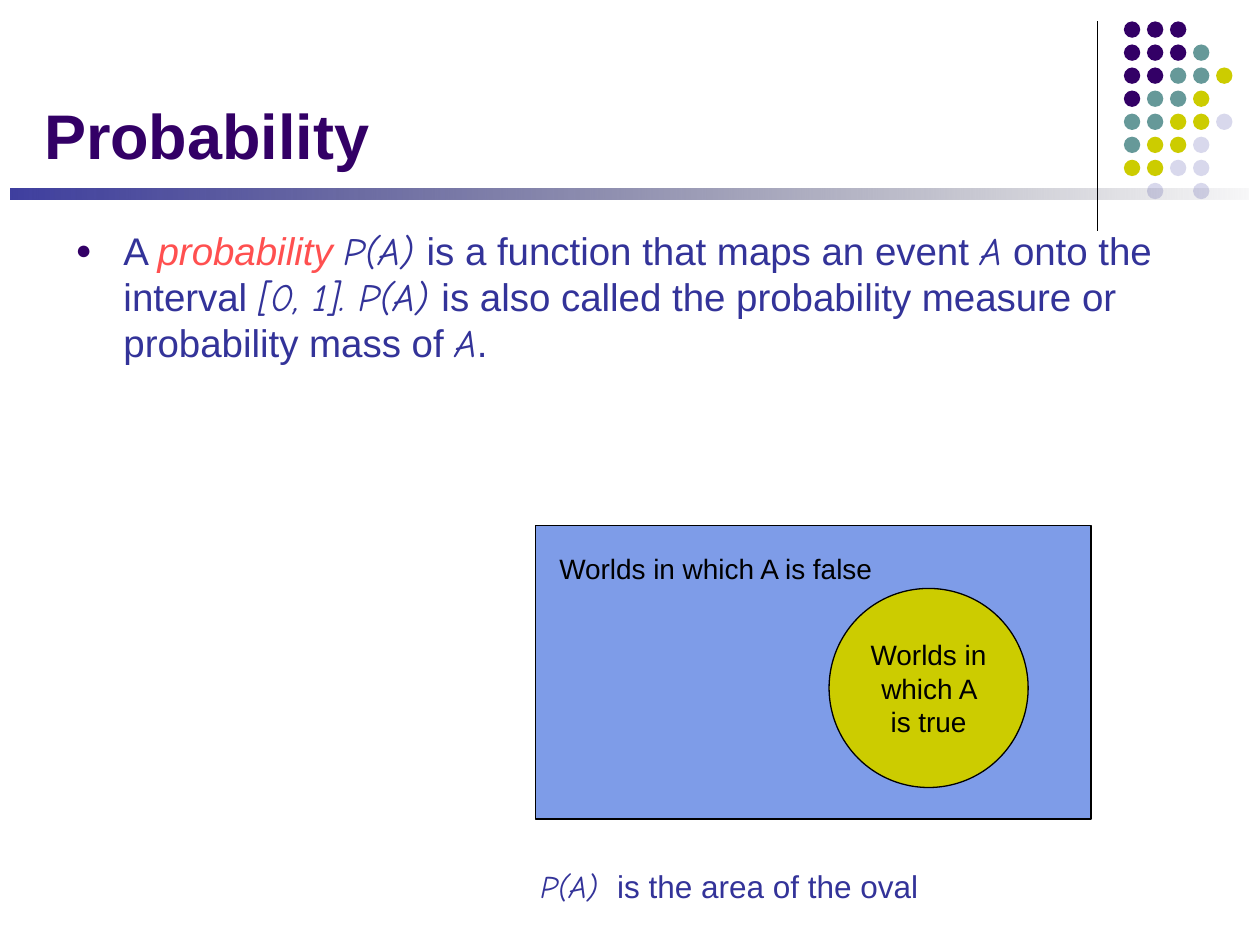
"""Build the slide that defines probability as an area."""
from lxml import etree
from pptx import Presentation
from pptx.dml.color import RGBColor
from pptx.enum.shapes import MSO_CONNECTOR, MSO_SHAPE
from pptx.enum.text import MSO_ANCHOR, MSO_AUTO_SIZE, PP_ALIGN
from pptx.oxml.ns import qn
from pptx.util import Inches, Pt

OVAL, RECT = MSO_SHAPE.OVAL, MSO_SHAPE.RECTANGLE
LINE = MSO_CONNECTOR.STRAIGHT
LEFT, CENTER = PP_ALIGN.LEFT, PP_ALIGN.CENTER
TOP, MIDDLE, BOTTOM = MSO_ANCHOR.TOP, MSO_ANCHOR.MIDDLE, MSO_ANCHOR.BOTTOM
NO_FIT, GROW = MSO_AUTO_SIZE.NONE, MSO_AUTO_SIZE.SHAPE_TO_FIT_TEXT
SANS, HAND = "Arial", "Comic Neue"
COLORS = {
    "plum": "330066", "teal": "669999", "lime": "CCCC00", "mist": "D8D8EC",
    "navy": "333399", "night": "0D0D27", "red": "FF5050", "sky": "7E9CE8",
    "black": "000000",
}


def add_form(kind, box, color, edge=None):
    form = slide.shapes.add_shape(kind, *[Inches(n) for n in box])
    form.shadow.inherit = False
    form.fill.solid()
    form.fill.fore_color.rgb = RGBColor.from_string(COLORS[color])
    if edge:
        form.line.color.rgb = RGBColor.from_string(COLORS[edge])
        form.line.width = Pt(0.75)
    else:
        form.line.fill.background()
    return form


def add_run(para, text, size, color, font=SANS, bold=False, italic=False):
    run = para.add_run()
    run.text = text
    run.font.name = font
    run.font.size = Pt(size)
    run.font.bold = bold
    run.font.italic = italic
    run.font.color.rgb = RGBColor.from_string(COLORS[color])


deck = Presentation()
deck.slide_width, deck.slide_height = Inches(10), Inches(7.5)
slide = deck.slides.add_slide(deck.slide_layouts[1])

rule = slide.shapes.add_connector(
    LINE, Inches(8.71), Inches(0.17), Inches(8.71), Inches(1.83))
rule.line.color.rgb = RGBColor.from_string(COLORS["black"])
rule.line.width = Pt(0.75)
etree.SubElement(rule._element.spPr, qn("a:effectLst"))

shades = {"P": "plum", "T": "teal", "L": "lime", "M": "mist"}
dots = ["PPP", "PPPT", "PPTTL", "PTTL", "TTLLM", "TLLM", "LLMM", " M M"]
step = 0.183
for row, marks in enumerate(dots):
    for col, mark in enumerate(marks):
        if mark in shades:
            box = (8.92 + col * step, 0.17 + row * step, 0.13, 0.13)
            add_form(OVAL, box, shades[mark])

bar = add_form(RECT, (0.08, 1.5, 9.83, 0.08), "navy")
bar.fill.gradient()
bar.fill.gradient_angle = 0
ends = [("navy", 0, 94), ("night", 1, 3)]
for stop, (color, place, alpha) in zip(bar.fill.gradient_stops, ends):
    stop.color.rgb = RGBColor.from_string(COLORS[color])
    stop.position = place
    tint = bar._element.spPr.findall(".//" + qn("a:srgbClr"))[place]
    etree.SubElement(tint, qn("a:alpha"), val=str(alpha * 1000))

title = slide.shapes.title
title.left, title.top = Inches(0.25), Inches(0.17)
title.width, title.height = Inches(8.25), Inches(1.25)
frame = title.text_frame
frame.auto_size = NO_FIT
frame.vertical_anchor = BOTTOM
para = frame.paragraphs[0]
para.alignment = LEFT
add_run(para, "Probability", 36, "plum", bold=True)

body = slide.placeholders[1]
body.left, body.top = Inches(0.5), Inches(1.75)
body.width, body.height = Inches(9), Inches(4.82)
frame = body.text_frame
frame.auto_size = NO_FIT
frame.vertical_anchor = TOP
para = frame.paragraphs[0]
para.space_before = Pt(0)
props = para._p.get_or_add_pPr()
props.set("marL", str(Inches(0.38)))
props.set("indent", str(-Inches(0.38)))
tint = etree.SubElement(props, qn("a:buClr"))
etree.SubElement(tint, qn("a:srgbClr"), val=COLORS["plum"])
etree.SubElement(props, qn("a:buSzPct"), val="70000")
etree.SubElement(props, qn("a:buFont"), typeface=SANS)
etree.SubElement(props, qn("a:buChar"), char="●")
add_run(para, "A ", 22, "navy")
add_run(para, "probability ", 22, "red", italic=True)
pairs = [
    ("P(A) ", "is a function that maps an event "),
    ("A", " onto the interval "),
    ("[0, 1]. P(A) ",
     "is also called the probability measure or probability mass of "),
    ("A", "."),
]
for sign, words in pairs:
    add_run(para, sign, 22, "navy", HAND, italic=True)
    add_run(para, words, 22, "navy")

add_form(RECT, (4.25, 4.17, 4.41, 2.33), "sky", "black")
event = add_form(OVAL, (6.58, 4.67, 1.58, 1.58), "lime", "black")
frame = event.text_frame
frame.word_wrap = True
frame.vertical_anchor = MIDDLE
para = frame.paragraphs[0]
para.alignment = CENTER
add_run(para, "Worlds in which A is true", 16, "black")

notes = [
    ((4.34, 4.33, 2.71, 0.37),
     [("Worlds in which A is false", 16, "black", SANS, False, False)]),
    ((4.19, 6.83, 3.25, 0.4),
     [("P(A) ", 18, "navy", HAND, False, True),
      (" is the area of the oval", 18, "navy", SANS, False, False)]),
]
for box, runs in notes:
    label = slide.shapes.add_textbox(*[Inches(n) for n in box])
    frame = label.text_frame
    frame.word_wrap = False
    frame.auto_size = GROW
    for run in runs:
        add_run(frame.paragraphs[0], *run)

deck.save("out.pptx")
